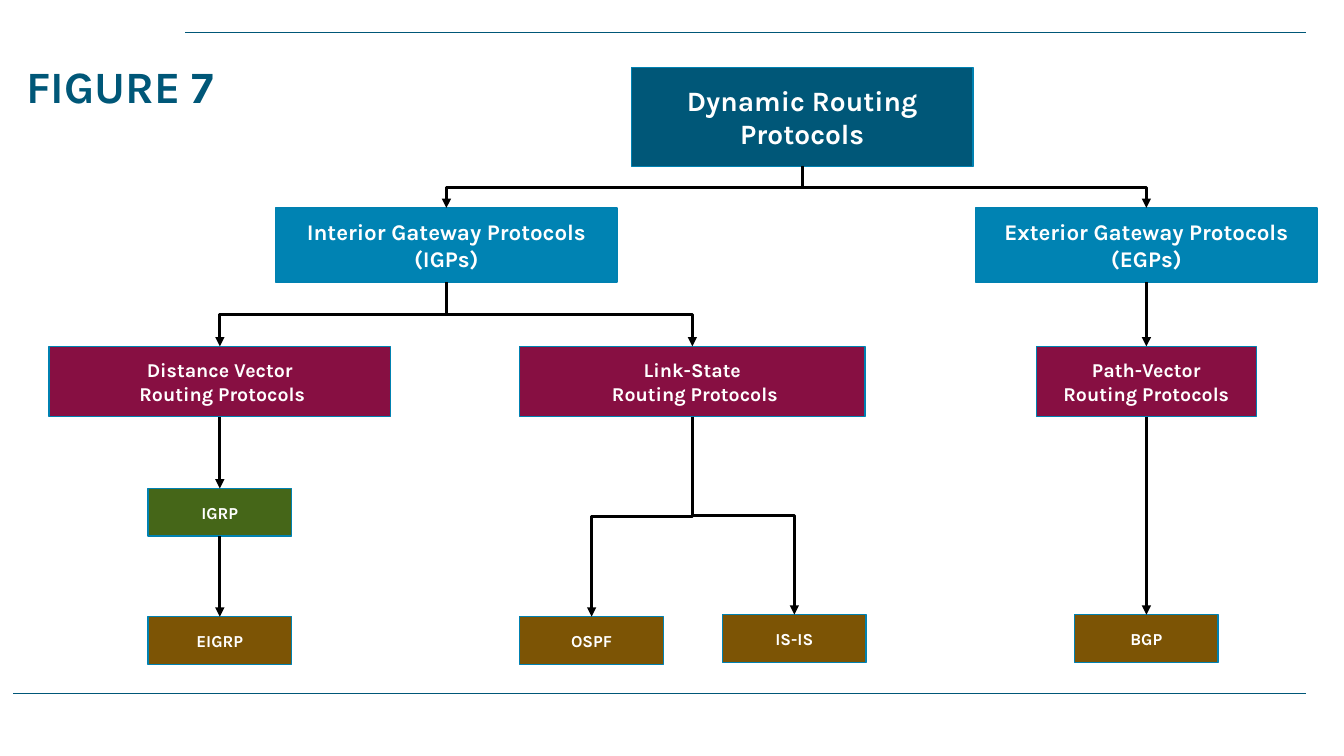
from dataclasses import dataclass

from lxml import etree
from pptx import Presentation
from pptx import util as u
from pptx.dml import color
from pptx.enum import shapes, text
from pptx.oxml import ns

FONT = "Karla"
HUES = {
    "navy": "005778",
    "blue": "0083B3",
    "edge": "0081B1",
    "wine": "870F42",
    "green": "456618",
    "brown": "7C5405",
    "black": "000000",
    "white": "FFFFFF",
}


@dataclass(frozen=True)
class Style:
    hue: str
    size: int
    high: float


@dataclass(frozen=True)
class Box:
    label: str
    mid: float
    top: float
    wide: float
    style: Style


ROOT = Style("navy", 20, 2.49)
GROUP = Style("blue", 16, 1.87)
KIND = Style("wine", 14, 1.77)
OLD = Style("green", 12, 1.2)
LEAF = Style("brown", 12, 1.2)

BOXES = {
    "isis": Box("IS-IS", 20.02, 15.49, 3.62, LEAF),
    "ospf": Box("OSPF", 14.91, 15.54, 3.62, LEAF),
    "eigrp": Box("EIGRP", 5.54, 15.54, 3.62, LEAF),
    "bgp": Box("BGP", 28.89, 15.49, 3.62, LEAF),
    "igrp": Box("IGRP", 5.54, 12.31, 3.62, OLD),
    "dist": Box("Distance Vector\n Routing Protocols", 5.54, 8.73, 8.6, KIND),
    "link": Box("Link-State\n Routing Protocols", 17.45, 8.73, 8.7, KIND),
    "path": Box("Path-Vector\nRouting Protocols", 28.89, 8.73, 5.54, KIND),
    "igp": Box("Interior Gateway Protocols\n(IGPs)", 11.25, 5.24, 8.6, GROUP),
    "egp": Box("Exterior Gateway Protocols\n(EGPs)", 28.89, 5.24, 8.6, GROUP),
    "root": Box("Dynamic Routing Protocols", 20.22, 1.7, 8.6, ROOT),
}

LINKS = [
    ("path", "bgp"),
    ("egp", "path"),
    ("igp", "link"),
    ("igp", "dist"),
    ("link", "isis"),
    ("link", "ospf"),
    ("dist", "igrp"),
    ("igrp", "eigrp"),
    ("root", "igp"),
    ("root", "egp"),
]

RULES = [(4.67, 0.82), (0.33, 17.48)]


def tint(hue: str) -> color.RGBColor:
    return color.RGBColor.from_string(HUES[hue])


def add_box(slide, box: Box):
    style = box.style
    shape = slide.shapes.add_shape(
        shapes.MSO_SHAPE.RECTANGLE,
        u.Cm(box.mid - box.wide / 2), u.Cm(box.top),
        u.Cm(box.wide), u.Cm(style.high),
    )
    shape.shadow.inherit = False
    shape.fill.solid()
    shape.fill.fore_color.rgb = tint(style.hue)
    shape.line.color.rgb = tint("edge")
    shape.line.width = u.Pt(1)
    frame = shape.text_frame
    frame.text = box.label
    frame.word_wrap = True
    frame.vertical_anchor = text.MSO_ANCHOR.MIDDLE
    for para in frame.paragraphs:
        para.alignment = text.PP_ALIGN.CENTER
        set_font(para.font, style.size, "white")
    return shape


def set_font(font, size: int, hue: str) -> None:
    font.name = FONT
    font.size = u.Pt(size)
    font.bold = True
    font.color.rgb = tint(hue)


def set_line(line, hue: str, width: float) -> None:
    line.line.color.rgb = tint(hue)
    line.line.width = u.Pt(width)
    etree.SubElement(line.element.spPr, ns.qn("a:effectLst"))


def add_rule(slide, left: float, top: float) -> None:
    rule = slide.shapes.add_connector(
        shapes.MSO_CONNECTOR.STRAIGHT,
        u.Cm(left), u.Cm(top), u.Cm(32.92), u.Cm(top),
    )
    set_line(rule, "navy", 1)


def turn_elbow(line) -> None:
    run = line.end_x - line.begin_x
    drop = line.end_y - line.begin_y
    mid_x = (line.begin_x + line.end_x) // 2
    mid_y = (line.begin_y + line.end_y) // 2
    half = drop // 2 if run > 0 else -(drop // 2)
    line.begin_x, line.end_x = mid_x + half, mid_x - half
    line.begin_y = mid_y - abs(run) // 2
    line.end_y = mid_y + abs(run) // 2
    line.rotation = 270 if run > 0 else 90


def add_link(slide, start, end, bent: bool) -> None:
    kind = shapes.MSO_CONNECTOR.ELBOW if bent else shapes.MSO_CONNECTOR.STRAIGHT
    line = slide.shapes.add_connector(kind, 0, 0, 0, 0)
    line.begin_connect(start, 2)
    line.end_connect(end, 0)
    if bent:
        turn_elbow(line)
    set_line(line, "black", 2.25)
    edge = line.element.spPr.find(ns.qn("a:ln"))
    etree.SubElement(edge, ns.qn("a:tailEnd"), type="triangle")


def add_title(slide, label: str) -> None:
    area = slide.shapes.add_textbox(u.Cm(0.41), u.Cm(1.42), u.Cm(28.32), u.Cm(1.52))
    frame = area.text_frame
    frame.word_wrap = True
    frame.vertical_anchor = text.MSO_ANCHOR.BOTTOM
    frame.text = label
    para = frame.paragraphs[0]
    para.line_spacing = 0.8
    set_font(para.font, 32, "navy")


def main() -> None:
    deck = Presentation()
    deck.slide_width, deck.slide_height = u.Cm(33.87), u.Cm(19.05)
    slide = deck.slides.add_slide(deck.slide_layouts[6])
    for left, top in RULES:
        add_rule(slide, left, top)
    nodes = {name: add_box(slide, box) for name, box in BOXES.items()}
    for start, end in LINKS:
        bent = BOXES[start].mid != BOXES[end].mid
        add_link(slide, nodes[start], nodes[end], bent)
    add_title(slide, "FIGURE 7")
    deck.save("out.pptx")


if __name__ == "__main__":
    main()
